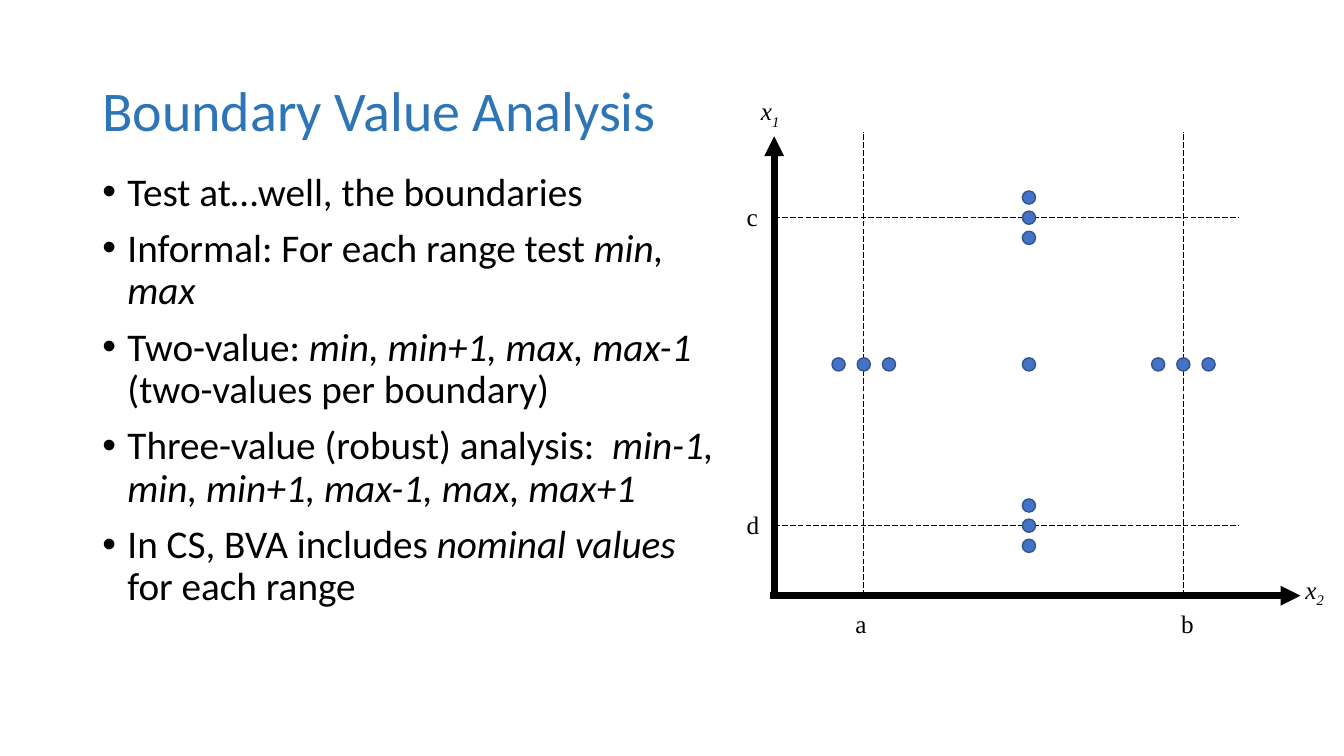
from lxml import etree
from pptx import Presentation
from pptx.dml.color import RGBColor
from pptx.enum.dml import MSO_LINE
from pptx.enum.shapes import MSO_CONNECTOR, MSO_SHAPE
from pptx.enum.text import MSO_ANCHOR
from pptx.oxml.ns import qn
from pptx.util import Pt

BLACK = RGBColor(0x00, 0x00, 0x00)
TITLE_BLUE = RGBColor(0x2E, 0x75, 0xB6)
DOT_FILL = RGBColor(0x44, 0x72, 0xC4)
DOT_LINE = RGBColor(0x32, 0x54, 0x91)
STRAIGHT = MSO_CONNECTOR.STRAIGHT
OVAL = MSO_SHAPE.OVAL
LONG_DASH = MSO_LINE.LONG_DASH
MIDDLE = MSO_ANCHOR.MIDDLE
SANS = "Calibri"
SERIF = "Times New Roman"
DOT_SIZE = 9.4

BULLETS = [
    [("Test at…well, the boundaries", False)],
    [("Informal: For each range test ", False), ("min, max ", True)],
    [("Two-value: ", False), ("min, min+1, max, max-1", True),
     (" (two-values per boundary)", False)],
    [("Three-value (robust) analysis:  ", False),
     ("min-1, min, min+1, max-1, max, max+1", True)],
    [("In CS, BVA includes ", False), ("nominal values ", True),
     ("for each range", False)],
]


def add_text_frame(slide, left, top, width, height, wrap=True):
    """Add a text box and return its text frame."""
    box = slide.shapes.add_textbox(Pt(left), Pt(top), Pt(width), Pt(height))
    box.text_frame.word_wrap = wrap
    return box.text_frame


def add_run(paragraph, text, font_name, size, color=BLACK, italic=False):
    """Append a formatted run to a paragraph."""
    run = paragraph.add_run()
    run.text = text
    run.font.name = font_name
    run.font.size = Pt(size)
    run.font.color.rgb = color
    run.font.italic = italic
    return run


def add_title(slide, left, top, width, height):
    """Place the slide title, centred vertically in its box."""
    text_frame = add_text_frame(slide, left, top, width, height)
    text_frame.vertical_anchor = MIDDLE
    paragraph = text_frame.paragraphs[0]
    paragraph.line_spacing = 0.9
    add_run(paragraph, "Boundary Value Analysis", SANS, 40, TITLE_BLUE)


def add_bullets(slide, left, top, width, height):
    """Place the bulleted list of test strategies."""
    text_frame = add_text_frame(slide, left, top, width, height)
    for index, parts in enumerate(BULLETS):
        paragraph = text_frame.add_paragraph() if index else text_frame.paragraphs[0]
        paragraph.line_spacing = 0.9
        paragraph.space_before = Pt(10)
        properties = paragraph._p.get_or_add_pPr()
        properties.set("marL", str(Pt(18)))
        properties.set("indent", str(-Pt(18)))
        etree.SubElement(properties, qn("a:buFont"), typeface="Arial")
        etree.SubElement(properties, qn("a:buChar"), char="•")
        for text, italic in parts:
            add_run(paragraph, text, SANS, 28, italic=italic)


def add_line(slide, start, end, width, dashed=False, arrow=False):
    """Draw a straight black line between two points."""
    connector = slide.shapes.add_connector(STRAIGHT, *map(Pt, start + end))
    connector.line.color.rgb = BLACK
    connector.line.width = Pt(width)
    if dashed:
        connector.line.dash_style = LONG_DASH
    if arrow:
        etree.SubElement(connector.line._get_or_add_ln(), qn("a:tailEnd"), type="triangle")
    etree.SubElement(connector._element.spPr, qn("a:effectLst"))


def add_label(slide, left, top, text, subscript=""):
    """Write a range label, or an italic axis name with a subscript."""
    is_axis = bool(subscript)
    text_frame = add_text_frame(slide, left, top, 30, 29, wrap=not is_axis)
    paragraph = text_frame.paragraphs[0]
    add_run(paragraph, text, SERIF, 18, italic=is_axis)
    if is_axis:
        run = add_run(paragraph, subscript, SERIF, 18, italic=True)
        run._r.get_or_add_rPr().set("baseline", "-25000")


def add_dot(slide, center_x, center_y):
    """Draw one test point around its centre."""
    dot = slide.shapes.add_shape(OVAL, Pt(center_x - DOT_SIZE / 2),
                                 Pt(center_y - DOT_SIZE / 2), Pt(DOT_SIZE), Pt(DOT_SIZE))
    dot.shadow.inherit = False
    dot.fill.solid()
    dot.fill.fore_color.rgb = DOT_FILL
    dot.line.color.rgb = DOT_LINE
    dot.line.width = Pt(1)


def add_boundary_plot(slide, left, top, width, height):
    """Draw the axes, the range boundaries and the test points."""
    bottom = top + height
    a_x, b_x = left + 64, left + 292.3
    c_y, d_y = top + 61.2, top + 281.2
    middle_x, middle_y = left + 182, top + 166

    add_line(slide, (left - 3, bottom), (left + width, bottom), 4.75, arrow=True)
    add_line(slide, (left, bottom), (left, top + 3), 4.75, arrow=True)
    add_label(slide, left - 16.6, top - 29.5, "x", "1")
    add_label(slide, left + width - 3.6, bottom - 18.7, "x", "2")

    for boundary_y, name in ((c_y, "c"), (d_y, "d")):
        add_line(slide, (left, boundary_y), (left + height, boundary_y), 0.5, dashed=True)
        add_label(slide, left - 26.7, boundary_y - 15, name)
        for offset in (-14.4, 0, 14.4):
            add_dot(slide, middle_x, boundary_y + offset)

    for boundary_x, name in ((a_x, "a"), (b_x, "b")):
        add_line(slide, (boundary_x, bottom), (boundary_x, top), 0.5, dashed=True)
        add_label(slide, boundary_x - (13 if name == "a" else 8.7), bottom + 5.8, name)
        for offset in (-18, 0, 18):
            add_dot(slide, boundary_x + offset, middle_y)

    add_dot(slide, middle_x, middle_y)


presentation = Presentation()
presentation.slide_width = Pt(960)
presentation.slide_height = Pt(540)
slide = presentation.slides.add_slide(presentation.slide_layouts[6])
add_title(slide, 66, 28.8, 828, 104.4)
add_bullets(slide, 66, 119.5, 460, 396)
add_boundary_plot(slide, 553, 94.3, 376, 331.2)
presentation.save("out.pptx")
